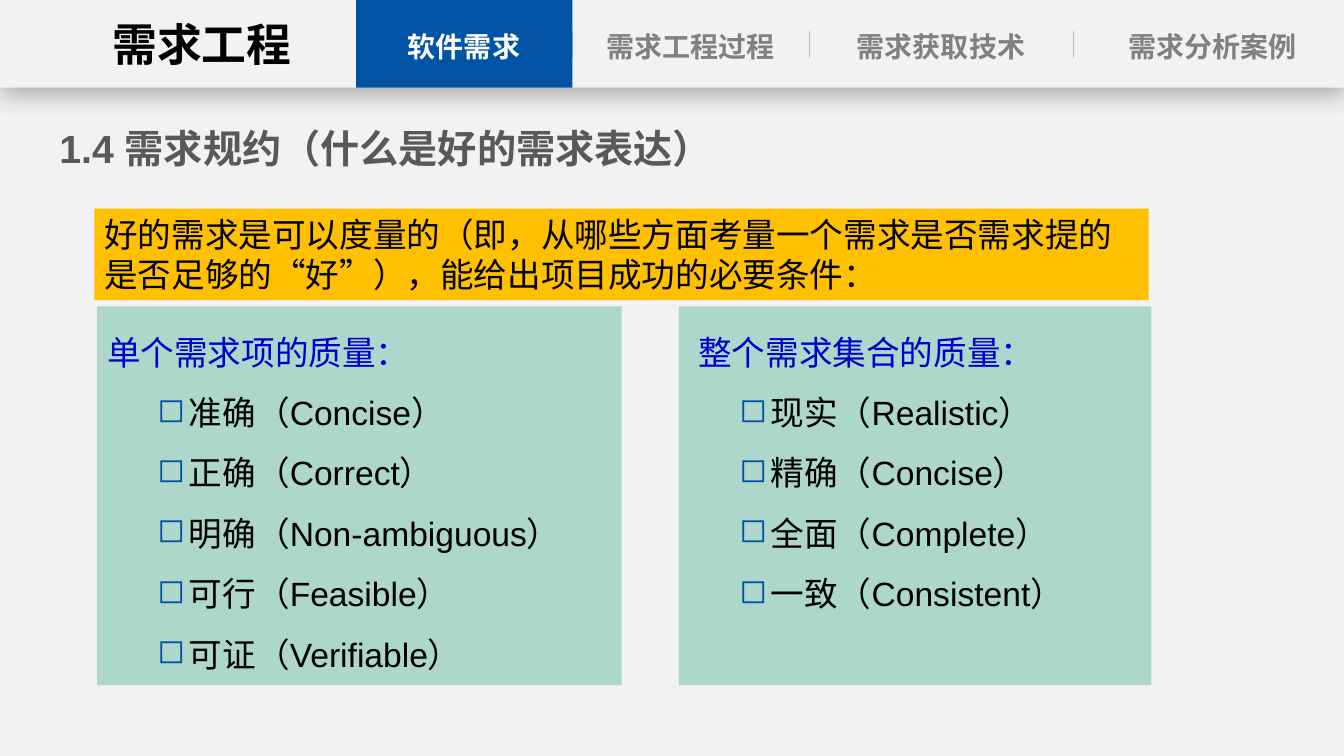
import pptx
import pptx.util
import pptx.dml.color
import pptx.enum.dml
import pptx.enum.lang
import pptx.enum.shapes
import pptx.enum.text
import pptx.oxml
import pptx.oxml.ns

Pt = pptx.util.Pt
ALIGN = pptx.enum.text.PP_ALIGN
COLORS = {
    "page": "F2F2F2", "blue": "0054A3", "mint": "ACD7CA", "amber": "FFC000",
    "black": "000000", "white": "FFFFFF", "title": "595959", "tab": "808080",
    "rule": "BFBFBF", "heading": "0000CC",
}
HEADER_HEIGHT = 62.6


def rgb(name):
    return pptx.dml.color.RGBColor.from_string(COLORS[name])


def append_xml(parent, markup):
    namespace = pptx.oxml.ns.nsdecls("a")
    parent.append(pptx.oxml.parse_xml(markup.replace("NS", namespace, 1)))


def add_run(paragraph, text, size, color, bold=False):
    run = paragraph.add_run()
    run.text = text
    run.font.size = Pt(size)
    run.font.name = "Arial"
    run.font.bold = bold
    run.font.color.rgb = rgb(color)
    run.font.language_id = pptx.enum.lang.MSO_LANGUAGE_ID.SIMPLIFIED_CHINESE


def add_block(slide, left, top, width, height, color):
    block = slide.shapes.add_shape(
        pptx.enum.shapes.MSO_SHAPE.RECTANGLE,
        Pt(left), Pt(top), Pt(width), Pt(height))
    block.shadow.inherit = False
    block.fill.solid()
    block.fill.fore_color.rgb = rgb(color)
    block.line.fill.background()
    frame = block.text_frame
    frame.word_wrap = True
    frame.vertical_anchor = pptx.enum.text.MSO_ANCHOR.TOP
    frame.paragraphs[0].alignment = ALIGN.LEFT
    return block


def add_label(slide, left, top, width, height, text, size, color, align=ALIGN.CENTER):
    label = slide.shapes.add_textbox(Pt(left), Pt(top), Pt(width), Pt(height))
    frame = label.text_frame
    frame.word_wrap = True
    frame.margin_left = frame.margin_right = 0
    frame.paragraphs[0].alignment = align
    add_run(frame.paragraphs[0], text, size, color, bold=True)


def add_divider(slide, x):
    divider = slide.shapes.add_connector(
        pptx.enum.shapes.MSO_CONNECTOR.STRAIGHT, Pt(x), Pt(22.3), Pt(x), Pt(41.8))
    divider.line.color.rgb = rgb("rule")
    divider.line.width = Pt(0.5)
    append_xml(divider._element.spPr, "<a:effectLst NS/>")


def add_header(slide):
    band = add_block(slide, 0, 0, 960, HEADER_HEIGHT, "page")
    effects = band._element.spPr.find(pptx.oxml.ns.qn("a:effectLst"))
    append_xml(effects, (
        f'<a:outerShdw NS blurRad="{Pt(18)}" dist="{Pt(4)}" dir="5400000" '
        'algn="t" rotWithShape="0"><a:srgbClr val="000000">'
        '<a:alpha val="29000"/></a:srgbClr></a:outerShdw>'))
    for x in (408.8, 578.2, 766.8):
        add_divider(slide, x)
    add_block(slide, 254.4, 0, 154.4, HEADER_HEIGHT, "blue")
    add_label(slide, 58.3, 8.6, 172.1, 46, "需求工程", 32, "black")
    tabs = [
        (278.6, 105.8, "软件需求", "white"),
        (428.4, 129.6, "需求工程过程", "tab"),
        (607, 130.3, "需求获取技术", "tab"),
        (800, 132.5, "需求分析案例", "tab"),
    ]
    for left, width, text, color in tabs:
        add_label(slide, left, 17.3, width, 31.5, text, 20, color)


def add_bullet(paragraph):
    properties = paragraph._p.get_or_add_pPr()
    properties.set("marL", str(Pt(58.5)))
    properties.set("indent", str(Pt(-22.5)))
    append_xml(properties, f'<a:buClr NS><a:srgbClr val="{COLORS["blue"]}"/></a:buClr>')
    append_xml(properties, '<a:buChar NS char="◻"/>')


def add_quality_panel(slide, left, width, heading, heading_indent, qualities):
    frame = add_block(slide, left, 218.8, width, 270.6, "mint").text_frame
    first = frame.paragraphs[0]
    first._p.get_or_add_pPr().set("marL", str(Pt(heading_indent)))
    first.line_spacing = 1.5
    add_run(first, heading, 24, "heading")
    for quality in qualities:
        item = frame.add_paragraph()
        item.level = 1
        add_bullet(item)
        item.alignment = ALIGN.LEFT
        item.line_spacing = 1.5
        add_run(item, quality, 24, "black")


def main():
    deck = pptx.Presentation()
    deck.slide_width, deck.slide_height = Pt(960), Pt(540)
    slide = deck.slides.add_slide(deck.slide_layouts[6])
    slide.background.fill.solid()
    slide.background.fill.fore_color.rgb = rgb("page")

    add_header(slide)
    add_label(slide, 42.5, 85, 478, 41.8, "1.4 需求规约（什么是好的需求表达）",
              28, "title", ALIGN.LEFT)
    add_quality_panel(slide, 69.4, 374.6, "单个需求项的质量：", 0, [
        "准确（Concise）", "正确（Correct）", "明确（Non-ambiguous）",
        "可行（Feasible）", "可证（Verifiable）"])
    add_quality_panel(slide, 485, 337.5, "整个需求集合的质量：", 6.7, [
        "现实（Realistic）", "精确（Concise）", "全面（Complete）", "一致（Consistent）"])
    summary = add_block(slide, 67.5, 149, 753, 65.4, "amber")
    add_run(summary.text_frame.paragraphs[0],
            "好的需求是可以度量的（即，从哪些方面考量一个需求是否需求提的"
            "是否足够的“好”），能给出项目成功的必要条件：", 24, "black")

    deck.save("out.pptx")


if __name__ == "__main__":
    main()
